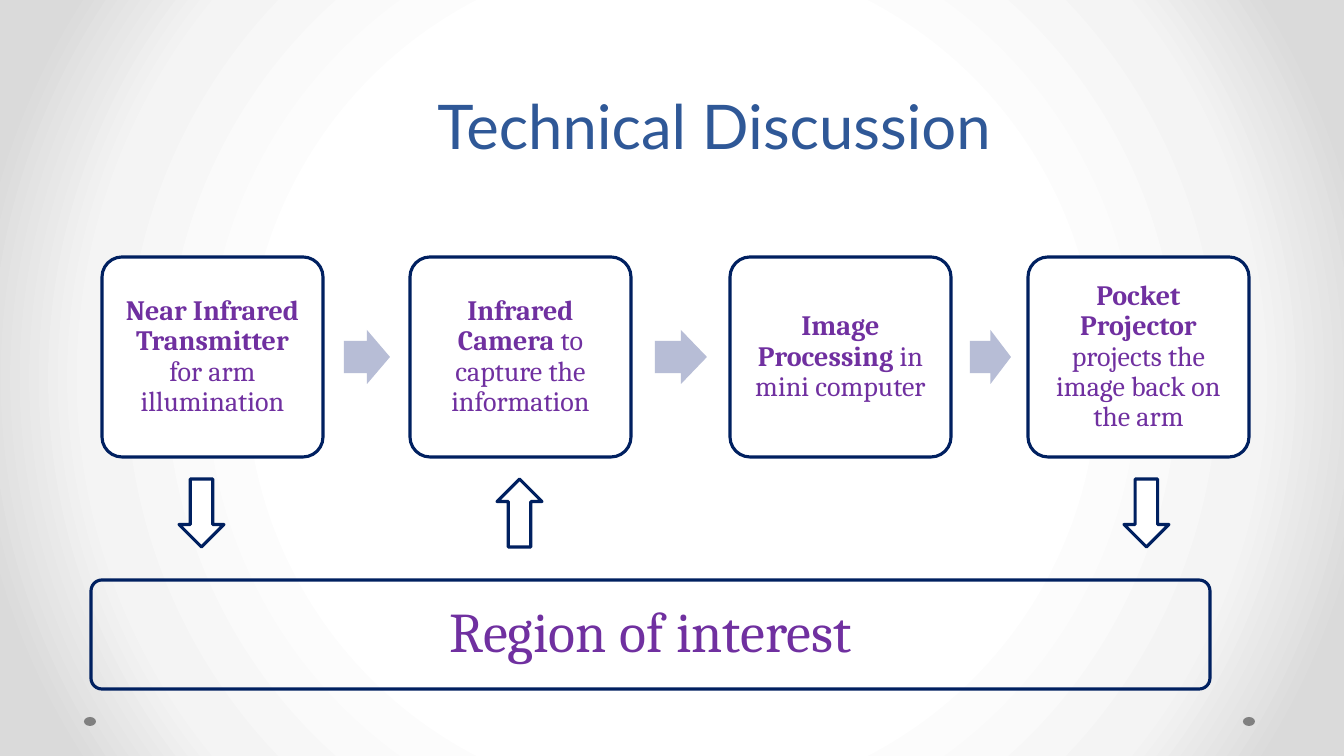
import pptx
import pptx.dml.color
import pptx.enum.shapes
import pptx.enum.text
import pptx.oxml
import pptx.oxml.ns
import pptx.util

SHAPE = pptx.enum.shapes.MSO_SHAPE
ANCHOR = pptx.enum.text.MSO_ANCHOR
EMU_PER_PX = 914400 / 100.8

NAVY = "002060"
PURPLE = "7030A0"
WHITE = "FFFFFF"

STAGE_TOP, STAGE_WIDTH, STAGE_HEIGHT = 257, 221, 200
STAGES = [
    (102, "Near Infrared Transmitter", "\vfor arm illumination"),
    (410, "Infrared Camera", " to capture the information"),
    (730, "Image Processing", " in mini computer"),
    (1028, "Pocket Projector", " projects the image back on the arm"),
]
FLOW_ARROWS = [(344, 46), (655, 52), (970, 41)]
REGION_ARROWS = [(179, 0), (497, 180), (1124, 0)]
FOOTER_DOTS = [84, 1243]
BACKGROUND_STOPS = [(50, "FFFFFF"), (76, "F4F4F4"), (92, "DADADA")]


def px(length):
    return pptx.util.Emu(round(length * EMU_PER_PX))


def color(hex_string):
    return pptx.dml.color.RGBColor.from_string(hex_string)


def set_background(page):
    """Fill the page with a radial gradient from its centre."""
    stops = "".join(
        f'<a:gs pos="{percent * 1000}"><a:srgbClr val="{shade}"/></a:gs>'
        for percent, shade in BACKGROUND_STOPS
    )
    background = pptx.oxml.parse_xml(
        f'<p:bg {pptx.oxml.ns.nsdecls("p", "a")}><p:bgPr>'
        f'<a:gradFill rotWithShape="1"><a:gsLst>{stops}</a:gsLst>'
        '<a:path path="circle"><a:fillToRect l="50000" t="50000" r="50000" b="50000"/>'
        "</a:path></a:gradFill><a:effectLst/></p:bgPr></p:bg>"
    )
    page.element.find(pptx.oxml.ns.qn("p:cSld")).insert(0, background)


def add_shape(page, kind, left, top, width, height, fill=None, line=None, adjust=()):
    shape = page.shapes.add_shape(kind, px(left), px(top), px(width), px(height))
    shape.shadow.inherit = False
    for index, value in enumerate(adjust):
        shape.adjustments[index] = value
    if fill:
        shape.fill.solid()
        shape.fill.fore_color.rgb = color(fill)
    else:
        shape.fill.background()
    if line:
        shape.line.color.rgb = color(line)
        shape.line.width = pptx.util.Pt(2.25)
    else:
        shape.line.fill.background()
    return shape


def write(box, *parts, size, font, ink, bold_first=False, anchor=ANCHOR.MIDDLE,
          margin=None, spacing=None):
    """Write one centred paragraph, with one run for each part."""
    frame = box.text_frame
    frame.word_wrap = True
    frame.vertical_anchor = anchor
    if margin is not None:
        frame.margin_left = frame.margin_right = px(margin)
        frame.margin_top = frame.margin_bottom = px(margin)
    para = frame.paragraphs[0]
    para.alignment = pptx.enum.text.PP_ALIGN.CENTER
    para.line_spacing = spacing
    for index, part in enumerate(parts):
        if part.startswith("\v"):
            para.add_line_break()
        span = para.add_run()
        span.text = part.lstrip("\v")
        span.font.size = pptx.util.Pt(size)
        span.font.name = font
        span.font.bold = bold_first and index == 0
        span.font.color.rgb = color(ink)


def add_stage(page, left, name, detail):
    box = add_shape(page, SHAPE.ROUNDED_RECTANGLE, left, STAGE_TOP, STAGE_WIDTH,
                    STAGE_HEIGHT, fill=WHITE, line=NAVY, adjust=[0.1])
    write(box, name, detail, size=20, font="Cambria", ink=PURPLE,
          bold_first=True, margin=8, spacing=0.9)


def add_region(page):
    box = add_shape(page, SHAPE.ROUNDED_RECTANGLE, 91, 580, 1119, 109,
                    line=NAVY, adjust=[0.1])
    write(box, "Region of interest", size=40, font="Cambria", ink=PURPLE,
          margin=17, spacing=0.9)


def add_title(page):
    box = page.shapes.add_textbox(px(162), px(56), px(1105), px(111))
    write(box, "Technical Discussion", size=44, font="Lato", ink="2F5897",
          anchor=ANCHOR.BOTTOM)


def main():
    deck = pptx.Presentation()
    deck.slide_width = px(1344)
    deck.slide_height = px(756)
    page = deck.slides.add_slide(deck.slide_layouts[6])
    set_background(page)

    for left in FOOTER_DOTS:
        add_shape(page, SHAPE.OVAL, left, 717, 12, 9, fill="808080")
    for left, name, detail in STAGES:
        add_stage(page, left, name, detail)
    for left, width in FLOW_ARROWS:
        add_shape(page, SHAPE.RIGHT_ARROW, left, 330, width, 54,
                  fill="B7BDD6", adjust=[0.6, 0.5])
    for left, angle in REGION_ARROWS:
        arrow = add_shape(page, SHAPE.DOWN_ARROW, left, 479, 45, 68,
                          fill=WHITE, line=NAVY)
        arrow.rotation = angle
    add_region(page)
    add_title(page)
    deck.save("out.pptx")


if __name__ == "__main__":
    main()
